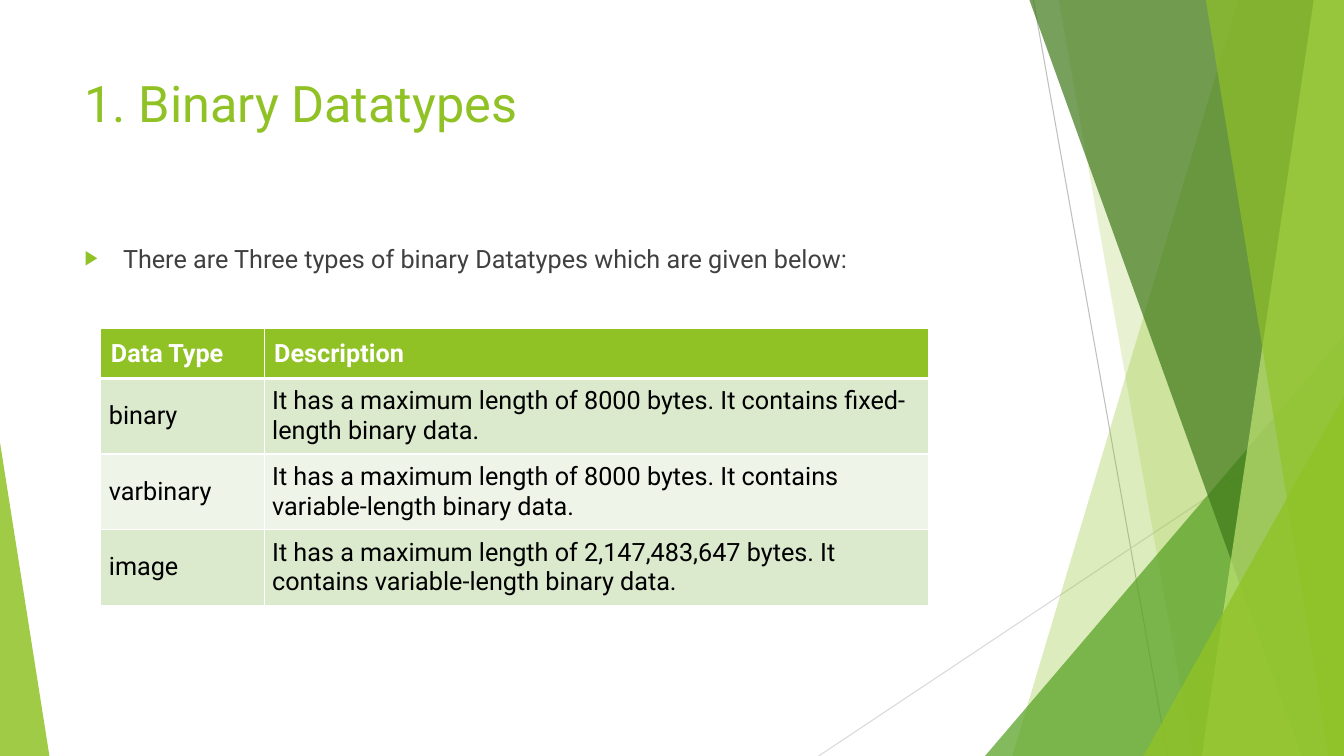
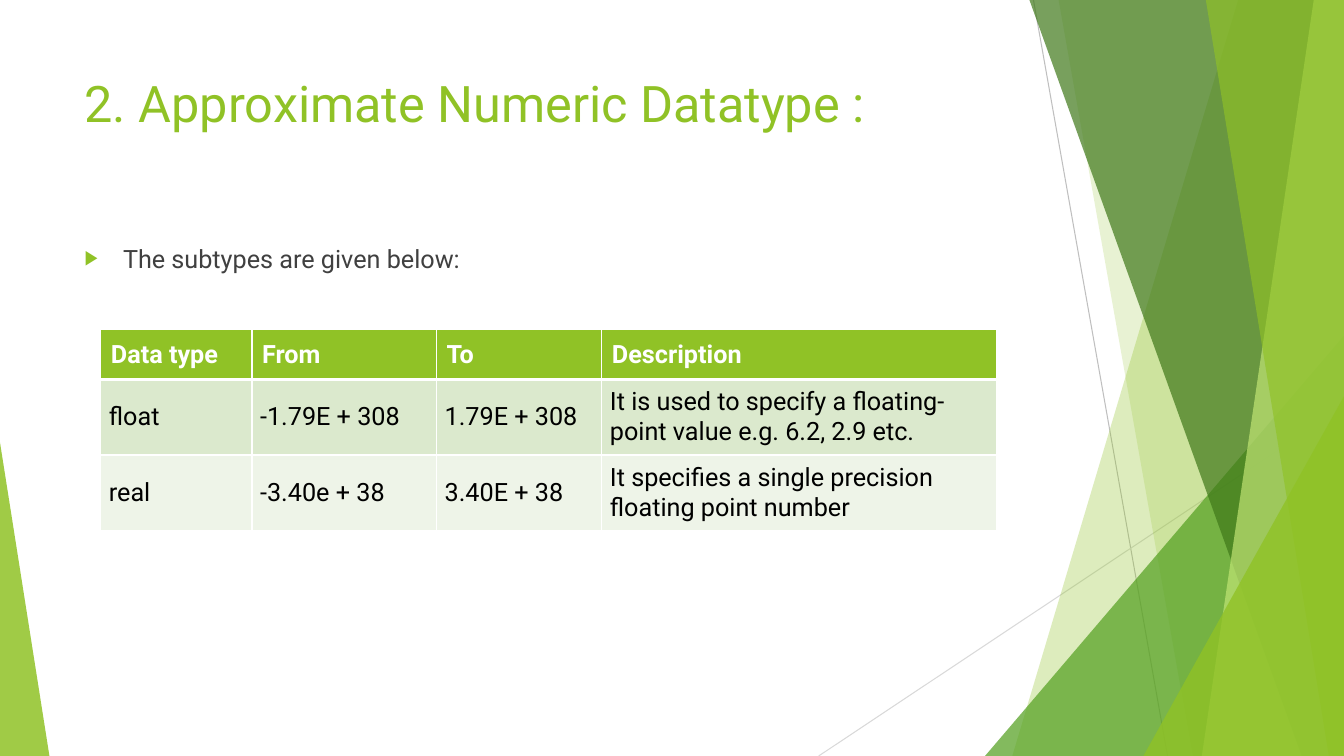
import pptx
import pptx.dml.color
import pptx.enum.shapes
import pptx.enum.text
import pptx.oxml
import pptx.oxml.ns
import pptx.util
from lxml import etree

Inches = pptx.util.Inches
Pt = pptx.util.Pt
qn = pptx.oxml.ns.qn
MSO_ANCHOR = pptx.enum.text.MSO_ANCHOR

FONT = "Roboto"
GREEN = "90C226"
MID_GREEN = "54A021"
DARK_GREEN = "3F7819"
PALE_GREEN = "C0E474"
BODY_TEXT = "404040"
WHITE = "FFFFFF"
BLACK = "000000"
ROW_FILLS = ("DBE9CD", "EEF4E8")

WIDTH, HEIGHT = 13.33, 7.5
TITLE_BOX = (0.74, 0.67, 9.4, 1.44)
BODY_BOX = (0.74, 2.36, 9.4, 4.24)
HEADER_HEIGHT, ROW_HEIGHT = 0.49, 0.75

# start x, start y, end x, end y, colour
RULES = [(10.25, 0, 11.58, HEIGHT, "BFBFBF"), (WIDTH, 4.03, 8.12, HEIGHT, "D9D9D9")]
# Facets reach the right edge: x at the top, x at the bottom, colour, opacity.
# Triangles stand on the bottom edge: left, top, width, apex, colour, opacity.
FACETS = [
    ("facet", 12.28, 10.04, GREEN, 30),
    ("facet", 10.5, 11.83, GREEN, 20),
    ("triangle", 9.77, 3.33, 3.56, 1, MID_GREEN, 72),
    ("facet", 10.21, 12.91, DARK_GREEN, 70),
    ("facet", 13.03, 11.92, PALE_GREEN, 70),
    ("facet", 11.96, 13.18, GREEN, 65),
    ("triangle", 11.34, 3.93, 1.99, 1, GREEN, 80),
    ("triangle", 0, 4.39, 0.49, 0, GREEN, 85),
]

SLIDES = [
    {
        "title": "1. Binary Datatypes",
        "lead": "There are Three types of binary Datatypes which are given below:",
        "top": 3.26,
        "columns": [1.62, 6.59],
        "rows": [
            ["Data Type", "Description"],
            ["binary", "It has a maximum length of 8000 bytes. "
                       "It contains fixed-length binary data."],
            ["varbinary", "It has a maximum length of 8000 bytes. "
                          "It contains variable-length binary data."],
            ["image", "It has a maximum length of 2,147,483,647 bytes. "
                      "It contains variable-length binary data."],
        ],
    },
    {
        "title": "2. Approximate Numeric Datatype :",
        "lead": "The subtypes are given below:",
        "top": 3.27,
        "columns": [1.5, 1.83, 1.64, 3.91],
        "rows": [
            ["Data type", "From", "To", "Description"],
            ["float", "-1.79E + 308", "1.79E + 308",
             "It is used to specify a floating-point value e.g. 6.2, 2.9 etc."],
            ["real", "-3.40e + 38", "3.40E + 38",
             "It specifies a single precision floating point number"],
        ],
    },
]


def color(value):
    return pptx.dml.color.RGBColor.from_string(value)


def place(shape, box):
    shape.left, shape.top, shape.width, shape.height = map(Inches, box)


def style_font(paragraph, size, value, bold=False):
    font = paragraph.font
    font.name, font.size, font.bold = FONT, Pt(size), bold
    font.color.rgb = color(value)


def fill_translucent(shape, value, opacity):
    shape.shadow.inherit = False
    shape.line.fill.background()
    shape.fill.solid()
    shape.fill.fore_color.rgb = color(value)
    rgb = shape._element.spPr.find(qn("a:solidFill")).find(qn("a:srgbClr"))
    etree.SubElement(rgb, qn("a:alpha"), val=str(opacity * 1000))


def add_rule(shapes, x1, y1, x2, y2, value):
    rule = shapes.add_connector(
        pptx.enum.shapes.MSO_CONNECTOR.STRAIGHT, *map(Inches, (x1, y1, x2, y2)))
    rule.line.color.rgb = color(value)
    rule.line.width = Pt(0.75)
    etree.SubElement(rule._element.spPr, qn("a:effectLst"))
    return rule


def add_facet(shapes, top_x, bottom_x, value, opacity):
    builder = shapes.build_freeform(Inches(top_x), 0)
    corners = [(WIDTH, 0), (WIDTH, HEIGHT), (bottom_x, HEIGHT)]
    builder.add_line_segments([(Inches(x), Inches(y)) for x, y in corners])
    facet = builder.convert_to_shape()
    fill_translucent(facet, value, opacity)
    return facet


def add_triangle(shapes, left, top, width, apex, value, opacity):
    triangle = shapes.add_shape(
        pptx.enum.shapes.MSO_SHAPE.ISOSCELES_TRIANGLE,
        *map(Inches, (left, top, width, HEIGHT - top)))
    triangle.adjustments[0] = apex
    fill_translucent(triangle, value, opacity)
    return triangle


def move_backdrop_to_layout(slide):
    """Draw the backdrop on a slide, then hand it to the layout all slides share."""
    builders = {"facet": add_facet, "triangle": add_triangle}
    backdrop = [add_rule(slide.shapes, *rule) for rule in RULES]
    backdrop += [builders[kind](slide.shapes, *values) for kind, *values in FACETS]
    for shape in backdrop:
        slide.slide_layout.shapes._spTree.append(shape._element)


def fill_title(placeholder, text):
    place(placeholder, TITLE_BOX)
    frame = placeholder.text_frame
    frame.text = text
    frame.vertical_anchor = MSO_ANCHOR.TOP
    frame.auto_size = pptx.enum.text.MSO_AUTO_SIZE.NONE
    paragraph = frame.paragraphs[0]
    paragraph.alignment = pptx.enum.text.PP_ALIGN.LEFT
    style_font(paragraph, 36, GREEN)


def fill_body(placeholder, text):
    place(placeholder, BODY_BOX)
    frame = placeholder.text_frame
    frame.text = text
    frame.auto_size = pptx.enum.text.MSO_AUTO_SIZE.NONE
    paragraph = frame.paragraphs[0]
    paragraph.space_before = Pt(0)
    properties = paragraph._p.get_or_add_pPr()
    properties.set("marL", str(Inches(0.38)))
    properties.set("indent", str(-Inches(0.38)))
    bullet_color = etree.SubElement(properties, qn("a:buClr"))
    etree.SubElement(bullet_color, qn("a:srgbClr"), val=GREEN)
    etree.SubElement(properties, qn("a:buSzPct"), val="80000")
    etree.SubElement(properties, qn("a:buChar"), char="▶")
    style_font(paragraph, 18, BODY_TEXT)


def add_borders(cell, widths):
    properties = cell._tc.get_or_add_tcPr()
    for side, width in widths.items():
        line = etree.SubElement(properties, qn(f"a:ln{side}"), w=str(Pt(width)))
        fill = etree.SubElement(line, qn("a:solidFill"))
        etree.SubElement(fill, qn("a:srgbClr"), val=WHITE)


def fill_cell(cell, text, row):
    header = row == 0
    cell.text = text
    inset = Inches(0.1 if header else 0.08)
    cell.margin_left = cell.margin_right = inset
    cell.margin_top = cell.margin_bottom = inset
    cell.vertical_anchor = MSO_ANCHOR.TOP if header else MSO_ANCHOR.MIDDLE
    add_borders(cell, {"L": 1, "R": 1, "T": 3 if row == 1 else 1, "B": 3 if header else 1})
    cell.fill.solid()
    cell.fill.fore_color.rgb = color(GREEN if header else ROW_FILLS[(row - 1) % 2])
    style_font(cell.text_frame.paragraphs[0], 18, WHITE if header else BLACK, header)


def add_type_table(slide, left, top, columns, rows):
    heights = [HEADER_HEIGHT] + [ROW_HEIGHT] * (len(rows) - 1)
    box = map(Inches, (left, top, sum(columns), sum(heights)))
    table = slide.shapes.add_table(len(rows), len(columns), *box).table
    for column, width in zip(table.columns, columns):
        column.width = Inches(width)
    for row, (texts, height) in enumerate(zip(rows, heights)):
        table.rows[row].height = Inches(height)
        for column, text in enumerate(texts):
            fill_cell(table.cell(row, column), text, row)


def add_datatype_slide(presentation, content):
    slide = presentation.slides.add_slide(presentation.slide_layouts[1])
    fill_title(slide.shapes.title, content["title"])
    fill_body(slide.placeholders[1], content["lead"])
    add_type_table(slide, 1, content["top"], content["columns"], content["rows"])
    return slide


def main():
    presentation = pptx.Presentation()
    presentation.slide_width = Inches(WIDTH)
    presentation.slide_height = Inches(HEIGHT)
    slides = [add_datatype_slide(presentation, content) for content in SLIDES]
    move_backdrop_to_layout(slides[0])
    presentation.save("out.pptx")


if __name__ == "__main__":
    main()
